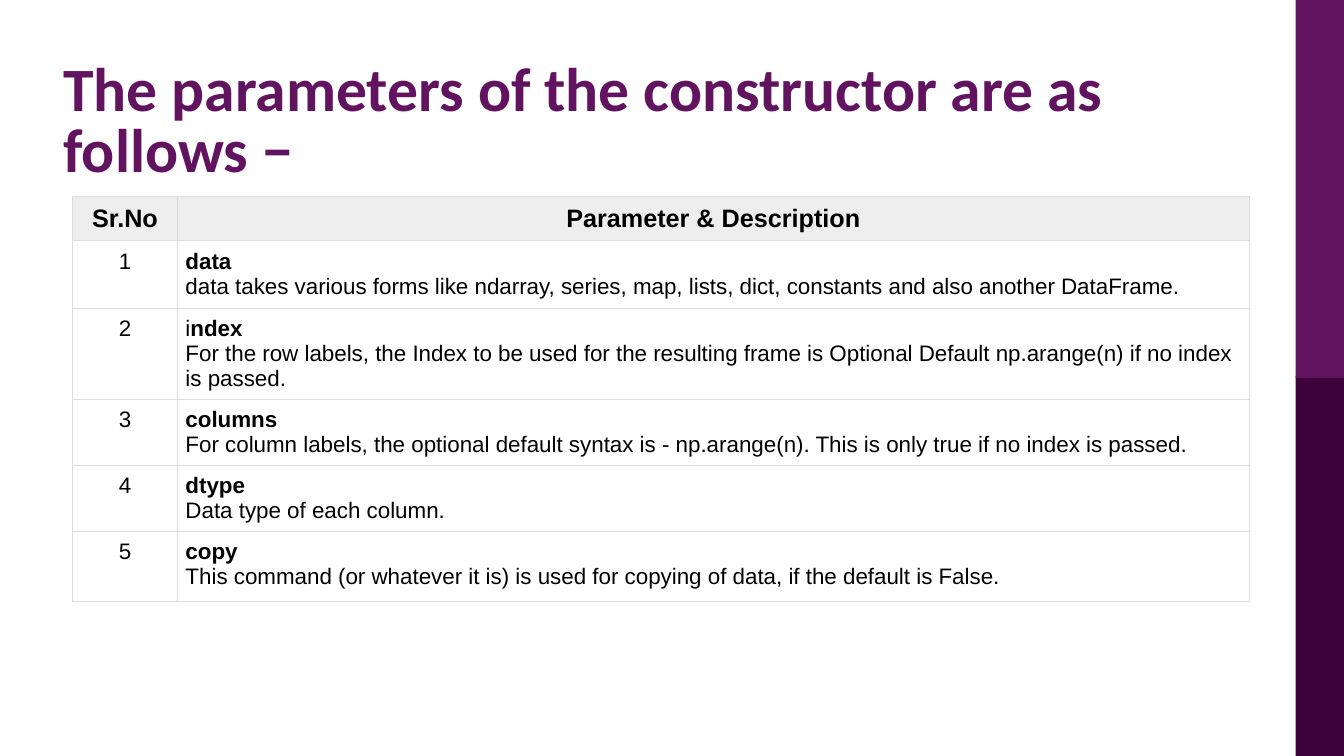
"""Build a slide with a table of the DataFrame constructor parameters."""
from lxml import etree
from pptx import Presentation
from pptx.dml.color import RGBColor
from pptx.enum.shapes import MSO_SHAPE
from pptx.enum.text import MSO_ANCHOR, PP_ALIGN
from pptx.oxml.ns import qn
from pptx.util import Inches, Pt

RECTANGLE = MSO_SHAPE.RECTANGLE
MIDDLE = MSO_ANCHOR.MIDDLE
LEFT, CENTER = PP_ALIGN.LEFT, PP_ALIGN.CENTER
COLORS = {
    "plum": "621360",
    "dark plum": "3C023C",
    "header": "EEEEEE",
    "border": "DDDDDD",
    "white": "FFFFFF",
    "black": "000000",
}
PARAMETERS = [
    ([("data", True)],
     "data takes various forms like ndarray, series, map, lists, dict, constants and also another DataFrame."),
    ([("i", False), ("ndex", True)],
     "For the row labels, the Index to be used for the resulting frame is Optional Default np.arange(n) if no index is passed."),
    ([("columns", True)],
     "For column labels, the optional default syntax is - np.arange(n). This is only true if no index is passed."),
    ([("dtype", True)], "Data type of each column."),
    ([("copy", True)],
     "This command (or whatever it is) is used for copying of data, if the default is False."),
]
COLUMN_WIDTHS = [1.04, 10.63]
ROW_HEIGHTS = [0.4, 0.67, 0.8, 0.57, 0.57, 0.7]


def add_run(paragraph, text, size, bold, font="Arial", color="black"):
    """Append one formatted run to a paragraph."""
    run = paragraph.add_run()
    run.text = text
    run.font.name = font
    run.font.size = Pt(size)
    run.font.bold = bold
    run.font.color.rgb = RGBColor.from_string(COLORS[color])


def fill_cell(cell, lines, size, alignment, fill):
    """Give a cell its borders, fill, margins and lines of runs."""
    properties = cell._tc.get_or_add_tcPr()
    for side in ("a:lnL", "a:lnR", "a:lnT", "a:lnB"):
        border = etree.SubElement(properties, qn(side), w=str(Pt(0.75)))
        solid = etree.SubElement(border, qn("a:solidFill"))
        etree.SubElement(solid, qn("a:srgbClr"), val=COLORS["border"])
    cell.fill.solid()
    cell.fill.fore_color.rgb = RGBColor.from_string(COLORS[fill])
    cell.margin_left = cell.margin_right = Inches(0.08)
    cell.margin_top = cell.margin_bottom = Inches(0.08)
    for index, runs in enumerate(lines):
        paragraph = cell.text_frame.paragraphs[0] if index == 0 else cell.text_frame.add_paragraph()
        paragraph.alignment = alignment
        for text, bold in runs:
            add_run(paragraph, text, size, bold)


presentation = Presentation()
presentation.slide_width = Inches(13.33)
presentation.slide_height = Inches(7.5)
slide = presentation.slides.add_slide(presentation.slide_layouts[6])

for top, height, color in [(3.73, 3.77, "dark plum"), (0, 3.75, "plum")]:
    band = slide.shapes.add_shape(RECTANGLE, Inches(12.85), Inches(top), Inches(0.49), Inches(height))
    band.shadow.inherit = False
    band.fill.solid()
    band.fill.fore_color.rgb = RGBColor.from_string(COLORS[color])
    band.line.fill.background()

table = slide.shapes.add_table(
    len(ROW_HEIGHTS), len(COLUMN_WIDTHS), Inches(0.72), Inches(1.95),
    Inches(sum(COLUMN_WIDTHS)), Inches(sum(ROW_HEIGHTS))).table
for column, width in zip(table.columns, COLUMN_WIDTHS):
    column.width = Inches(width)
for row, height in zip(table.rows, ROW_HEIGHTS):
    row.height = Inches(height)

for column, heading in enumerate(["Sr.No", "Parameter & Description"]):
    fill_cell(table.cell(0, column), [[(heading, True)]], 18, CENTER, "header")
for number, (name, description) in enumerate(PARAMETERS, start=1):
    fill_cell(table.cell(number, 0), [[(str(number), False)]], 16, CENTER, "white")
    fill_cell(table.cell(number, 1), [name, [(description, False)]], 16, LEFT, "white")

title = slide.shapes.add_textbox(Inches(0.53), Inches(0.61), Inches(12.19), Inches(1.24))
title.text_frame.word_wrap = True
title.text_frame.vertical_anchor = MIDDLE
heading_paragraph = title.text_frame.paragraphs[0]
heading_paragraph.line_spacing = 0.82
add_run(heading_paragraph, "The parameters of the constructor are as follows −", 44, True, "Calibri", "plum")

presentation.save("out.pptx")
